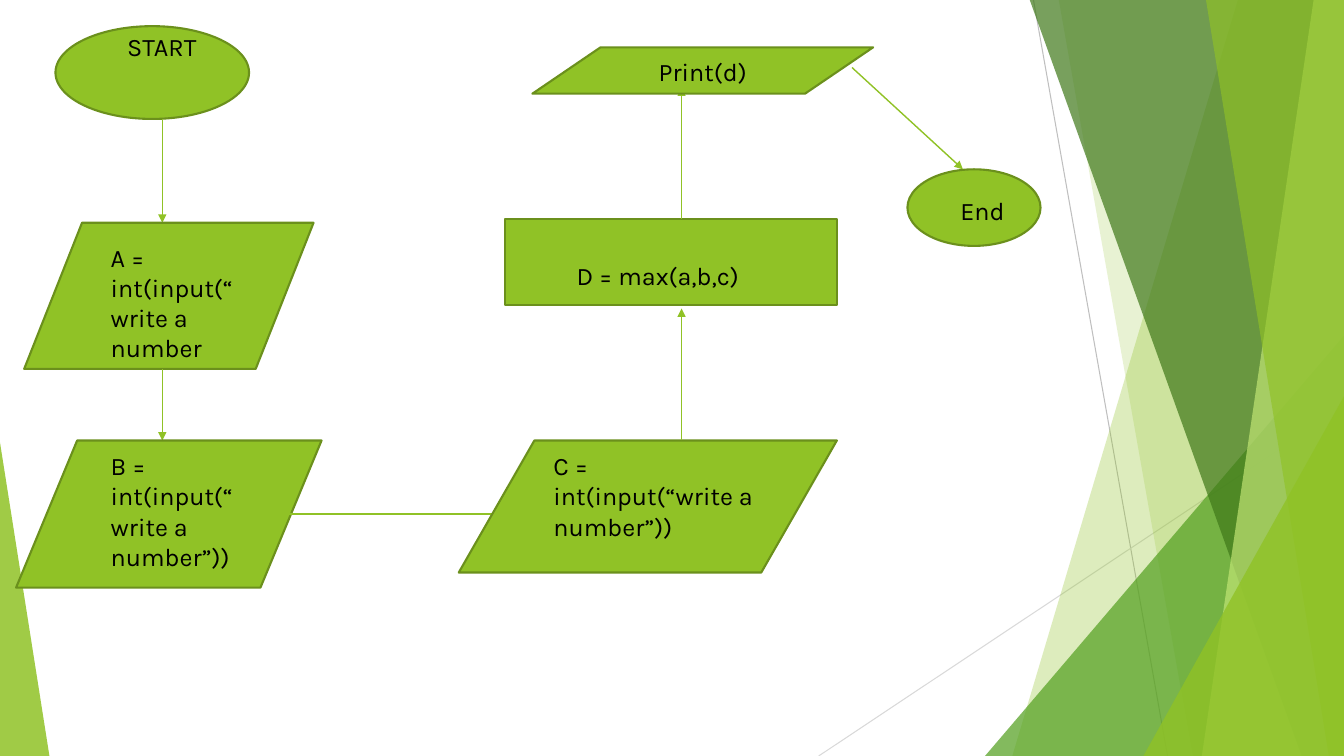
from dataclasses import dataclass
from typing import Optional

from lxml import etree
from pptx import Presentation
from pptx import util as u
from pptx.dml.color import RGBColor
from pptx.enum import shapes, text
from pptx.oxml.ns import qn

PX = 9144  # EMU in one px, 100 px to the inch
WIDTH, HEIGHT, TOP = 1333, 750, -1

LIME = RGBColor(0x90, 0xC2, 0x26)
OLIVE = RGBColor(0x6B, 0x90, 0x1C)
GREEN = RGBColor(0x54, 0xA0, 0x21)
FOREST = RGBColor(0x3F, 0x78, 0x19)
PALE_LIME = RGBColor(0xC0, 0xE4, 0x74)
GREY = RGBColor(0xBF, 0xBF, 0xBF)
LIGHT_GREY = RGBColor(0xD9, 0xD9, 0xD9)
BLACK = RGBColor(0, 0, 0)

Shape = shapes.MSO_SHAPE
Frame = tuple[int, int, int, int]  # left, top, width, height, or x1, y1, x2, y2


@dataclass(frozen=True)
class Band:
    """A full-height facet that reaches the right edge of the page."""
    top_x: int
    bottom_x: int
    colour: RGBColor
    opacity: int


@dataclass(frozen=True)
class Corner:
    """A right triangle standing on the bottom edge; apex 0 is left, 1 right."""
    frame: Frame
    apex: int
    colour: RGBColor
    opacity: int


@dataclass(frozen=True)
class Step:
    kind: Shape
    frame: Frame
    label: str
    label_frame: Frame
    centred: bool = False
    arrow_in: Optional[Frame] = None


FACETS = [
    Band(1228, 1004, LIME, 30),
    Band(1050, 1183, LIME, 20),
    Corner((977, 333, 356, 417), 1, GREEN, 72),
    Band(1021, 1291, FOREST, 70),
    Band(1303, 1192, PALE_LIME, 70),
    Band(1196, 1318, LIME, 65),
    Corner((1134, 393, 199, 357), 1, LIME, 80),
    Corner((0, 439, 49, 311), 0, LIME, 85),
]

DATA = Shape.FLOWCHART_DATA
STEPS = [
    Step(Shape.OVAL, (55, 26, 192, 92), "START", (100, 26, 121, 40), True),
    Step(DATA, (24, 221, 287, 145), "A = int(input(“write a number",
         (100, 235, 147, 131), arrow_in=(161, 118, 161, 221)),
    Step(DATA, (16, 437, 303, 146), "B = int(input(“write a number”))",
         (100, 442, 147, 131), arrow_in=(161, 366, 161, 437)),
    Step(DATA, (455, 437, 375, 131), "C = int(input(“write a number”))",
         (539, 442, 218, 101), arrow_in=(284, 510, 503, 510)),
    Step(Shape.RECTANGLE, (501, 217, 329, 86), "D = max(a,b,c)",
         (562, 253, 304, 40), arrow_in=(676, 437, 676, 306)),
    Step(DATA, (528, 47, 338, 46), "Print(d)",
         (597, 51, 200, 40), True, (676, 217, 676, 87)),
    Step(Shape.OVAL, (900, 168, 132, 76), "End",
         (928, 189, 93, 40), True, (845, 67, 955, 168)),
]


def emu(frame: Frame) -> list[u.Emu]:
    return [u.Emu(length * PX) for length in frame]


def add_line(page, ends: Frame, colour: RGBColor, points: float, arrow: bool = False) -> None:
    line = page.shapes.add_connector(shapes.MSO_CONNECTOR.STRAIGHT, *emu(ends))
    line.line.color.rgb = colour
    line.line.width = u.Pt(points)
    properties = line._element.spPr
    if arrow:
        outline = properties.find(qn("a:ln"))
        etree.SubElement(outline, qn("a:tailEnd"), type="triangle")
    etree.SubElement(properties, qn("a:effectLst"))


def paint(box, colour: RGBColor, opacity: int = 100) -> None:
    """Fill a shape and take away its shadow and outline."""
    box.shadow.inherit = False
    box.fill.solid()
    box.fill.fore_color.rgb = colour
    box.line.fill.background()
    if opacity < 100:
        tint = box._element.spPr.find(qn("a:solidFill"))[0]
        etree.SubElement(tint, qn("a:alpha"), val=str(opacity * 1000))


def add_band(page, band: Band) -> None:
    outline = page.shapes.build_freeform(band.top_x, TOP, scale=PX)
    outline.add_line_segments([(WIDTH, TOP), (WIDTH, HEIGHT), (band.bottom_x, HEIGHT)])
    paint(outline.convert_to_shape(), band.colour, band.opacity)


def add_corner(page, corner: Corner) -> None:
    triangle = page.shapes.add_shape(Shape.ISOSCELES_TRIANGLE, *emu(corner.frame))
    triangle.adjustments[0] = corner.apex
    paint(triangle, corner.colour, corner.opacity)


def add_label(page, step: Step) -> None:
    box = page.shapes.add_textbox(*emu(step.label_frame))
    frame = box.text_frame
    frame.word_wrap = True
    frame.auto_size = text.MSO_AUTO_SIZE.SHAPE_TO_FIT_TEXT
    frame.text = step.label
    para = frame.paragraphs[0]
    para.alignment = text.PP_ALIGN.CENTER if step.centred else text.PP_ALIGN.LEFT
    font = para.runs[0].font
    font.name = "Karla"
    font.size = u.Pt(18)
    font.color.rgb = BLACK


def add_step(page, step: Step) -> None:
    """Draw the arrow first, so that the step's shape covers its end."""
    if step.arrow_in:
        add_line(page, step.arrow_in, LIME, 1, arrow=True)
    box = page.shapes.add_shape(step.kind, *emu(step.frame))
    paint(box, LIME)
    box.line.color.rgb = OLIVE
    box.line.width = u.Pt(1.5)
    add_label(page, step)


def main() -> None:
    deck = Presentation()
    deck.slide_width, deck.slide_height = u.Inches(13.33), u.Inches(7.5)
    page = deck.slides.add_slide(deck.slide_layouts[6])

    add_line(page, (1025, 0, 1158, HEIGHT), GREY, 0.75)
    add_line(page, (WIDTH, 403, 812, HEIGHT), LIGHT_GREY, 0.75)
    for facet in FACETS:
        if isinstance(facet, Band):
            add_band(page, facet)
        else:
            add_corner(page, facet)
    for step in STEPS:
        add_step(page, step)

    deck.save("out.pptx")


if __name__ == "__main__":
    main()
